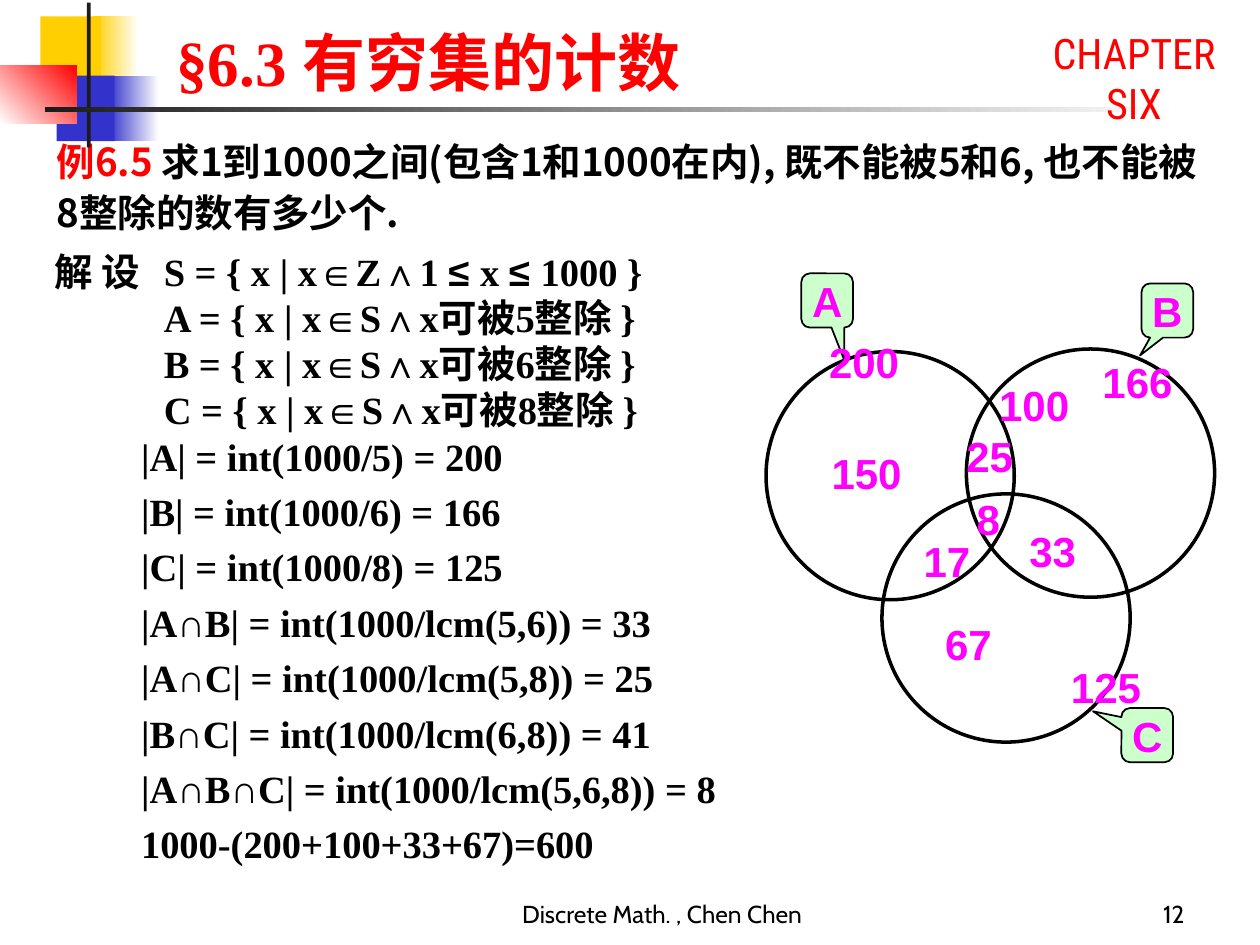
from lxml import etree
from pptx import Presentation
from pptx.dml.color import RGBColor
from pptx.enum.shapes import MSO_SHAPE as SHAPE
from pptx.enum.text import MSO_ANCHOR as ANCHOR, MSO_AUTO_SIZE as AUTO, PP_ALIGN as ALIGN
from pptx.oxml.ns import qn
from pptx.util import Inches, Pt

COLORS = {
    "white": "FFFFFF", "black": "000000", "red": "FF0000", "yellow": "FFCF01",
    "blue": "3333CC", "ink": "1C1C1C", "magenta": "FF00FF", "mint": "CCFFCC",
}
RGB = {name: RGBColor.from_string(code) for name, code in COLORS.items()}
SERIF, SANS, CJK = "Times New Roman", "Arial", "Noto Sans CJK SC"


def write(box, lines, size, font, color, bold=True, align=ALIGN.LEFT,
          spacing=1.0, inset=(0, 0), wrap=True, anchor=ANCHOR.TOP):
    frame = box.text_frame
    frame.word_wrap = wrap
    frame.auto_size = AUTO.NONE
    frame.vertical_anchor = anchor
    frame.margin_left = frame.margin_right = Inches(inset[0])
    frame.margin_top = frame.margin_bottom = Inches(inset[1])
    frame.text = "\n".join(lines)
    for paragraph in frame.paragraphs:
        paragraph.alignment = align
        paragraph.line_spacing = spacing
        paragraph.space_before = Pt(0)
        paragraph.font.size = Pt(size)
        paragraph.font.name = font
        paragraph.font.bold = bold
        paragraph.font.color.rgb = RGB[color]
    return frame


def place(shape, left, top, width, height):
    shape.left, shape.top = Inches(left), Inches(top)
    shape.width, shape.height = Inches(width), Inches(height)
    return shape


deck = Presentation()
deck.slide_width, deck.slide_height = Inches(10), Inches(7.5)
slide = deck.slides.add_slide(deck.slide_layouts[1])
shapes = slide.shapes
padded = (0.1, 0.05)

ornaments = [
    (0.74, 0.13, 0.36, 0.52, ("white", "yellow"), 180),
    (0.86, 0.6, 0.4, 0.52, ("white", "blue"), 180),
    (0.32, 0.13, 0.48, 0.52, ("yellow",), 0),
    (0.45, 0.6, 0.46, 0.52, ("blue",), 0),
    (0, 0.52, 0.61, 0.46, ("red", "white"), 225),
    (0.69, 0.02, 0.03, 1.15, ("ink",), 0),
    (0.36, 0.85, 9, 0.04, ("white", "ink"), 180),
]
for left, top, width, height, tones, angle in ornaments:
    ornament = shapes.add_shape(
        SHAPE.RECTANGLE, Inches(left), Inches(top), Inches(width), Inches(height))
    ornament.shadow.inherit = False
    ornament.line.fill.background()
    if len(tones) == 1:
        ornament.fill.solid()
        ornament.fill.fore_color.rgb = RGB[tones[0]]
    else:
        ornament.fill.gradient()
        ornament.fill.gradient_angle = angle
        for stop, tone in zip(ornament.fill.gradient_stops, tones):
            stop.color.rgb = RGB[tone]

title = place(shapes.title, 1.3, 0.14, 6.22, 0.7)
write(title, ["§6.3 有穷集的计数"], 36, SERIF, "red", inset=padded)

chapter = shapes.add_textbox(Inches(8), Inches(0.17), Inches(2), Inches(0.9))
write(chapter, ["CHAPTER\vSIX"], 24, "Roboto Condensed", "red", bold=False,
      align=ALIGN.CENTER, inset=padded)

problem = place(slide.placeholders[1], 0.35, 1.01, 9.34, 1.08)
statement = write(problem, [""], 22, CJK, "black", spacing=1.1, inset=padded).paragraphs[0]
properties = statement._p.get_or_add_pPr()
properties.set("marL", "0")
properties.set("indent", "0")
no_bullet = etree.Element(qn("a:buNone"))
properties.find(qn("a:defRPr")).addprevious(no_bullet)
example = statement.add_run()
example.text = "例6.5 "
example.font.color.rgb = RGB["red"]
question = statement.add_run()
question.text = "求1到1000之间(包含1和1000在内), 既不能被5和6, 也不能被8整除的数有多少个."
question.font.color.rgb = RGB["black"]
for run in (example, question):
    run.font.size = Pt(22)
    run.font.name = CJK
    run.font.bold = True

solution = shapes.add_textbox(Inches(0.43), Inches(1.93), Inches(0.79), Inches(0.4))
write(solution, ["解 设"], 22, SANS, "black", spacing=1.1)

definitions = [["S = { x | x", "∈", "Z∧1 ", "≤ ", "x ", "≤ ", "1000 }"]]
for name, divisor in (("A", 5), ("B", 6), ("C", 8)):
    definitions.append([f"{name} = {{ x | x", "∈", f"S∧x可被{divisor}整除 }}"])
sets = shapes.add_textbox(Inches(1.3), Inches(1.93), Inches(4.46), Inches(1.5))
set_lines = write(sets, [""] * len(definitions), 22, SERIF, "black").paragraphs
set_lines[0].line_spacing = 1.1
for line, pieces in zip(set_lines, definitions):
    for piece in pieces:
        run = line.add_run()
        run.text = piece
        run.font.size = Pt(22)
        run.font.bold = True
        run.font.color.rgb = RGB["black"]
        run.font.name = SANS if piece in ("∈", "≤ ") else SERIF

counts = shapes.add_textbox(Inches(1.12), Inches(3.36), Inches(4.56), Inches(3.52))
write(counts, [
    "|A| = int(1000/5) = 200",
    "|B| = int(1000/6) = 166",
    "|C| = int(1000/8) = 125",
    "|A∩B| = int(1000/lcm(5,6)) = 33",
    "|A∩C| = int(1000/lcm(5,8)) = 25",
    "|B∩C| = int(1000/lcm(6,8)) = 41",
    "|A∩B∩C| = int(1000/lcm(5,6,8)) = 8",
    "1000-(200+100+33+67)=600",
], 22, SERIF, "black", spacing=1.2, wrap=False)

venn = [
    ("B", 7.67, 2.77, 9.06, 2.25, (-0.53, 0.83)),
    ("A", 6.08, 2.79, 6.36, 2.17, (0.33, 1.1)),
    ("C", 7, 3.92, 8.9, 5.62, (-1.05, -0.44)),
]
for name, left, top, tag_left, tag_top, tip in venn:
    circle = shapes.add_shape(
        SHAPE.OVAL, Inches(left), Inches(top), Inches(1.97), Inches(1.97))
    circle.shadow.inherit = False
    circle.fill.background()
    circle.line.color.rgb = RGB["black"]
    circle.line.width = Pt(2)
    tag = shapes.add_shape(SHAPE.ROUNDED_RECTANGULAR_CALLOUT, Inches(tag_left),
                           Inches(tag_top), Inches(0.41), Inches(0.43))
    tag.shadow.inherit = False
    tag.adjustments[0], tag.adjustments[1] = tip
    tag.fill.solid()
    tag.fill.fore_color.rgb = RGB["mint"]
    tag.line.color.rgb = RGB["black"]
    tag.line.width = Pt(1)
    write(tag, [name], 24, SANS, "magenta", align=ALIGN.CENTER)

region_counts = [
    ("33", 8.17, 4.17), ("8", 7.75, 3.92), ("100", 7.93, 3.01), ("25", 7.67, 3.42),
    ("200", 6.58, 2.67), ("166", 8.75, 2.83), ("125", 8.5, 5.25), ("67", 7.5, 4.91),
    ("17", 7.33, 4.25), ("150", 6.6, 3.55),
]
for count, left, top in region_counts:
    region = shapes.add_textbox(
        Inches(left), Inches(top), Inches(0.19 * len(count)), Inches(0.4))
    write(region, [count], 24, SANS, "magenta", wrap=False)

for note, left, width, align in (("Discrete Math. , Chen Chen", 3.67, 3.17, ALIGN.CENTER),
                                 ("12", 7.42, 2.08, ALIGN.RIGHT)):
    footer = shapes.add_textbox(Inches(left), Inches(6.92), Inches(width), Inches(0.5))
    write(footer, [note], 14, "Cabin", "black", bold=False, align=align,
          inset=padded, anchor=ANCHOR.BOTTOM)

deck.save("out.pptx")
